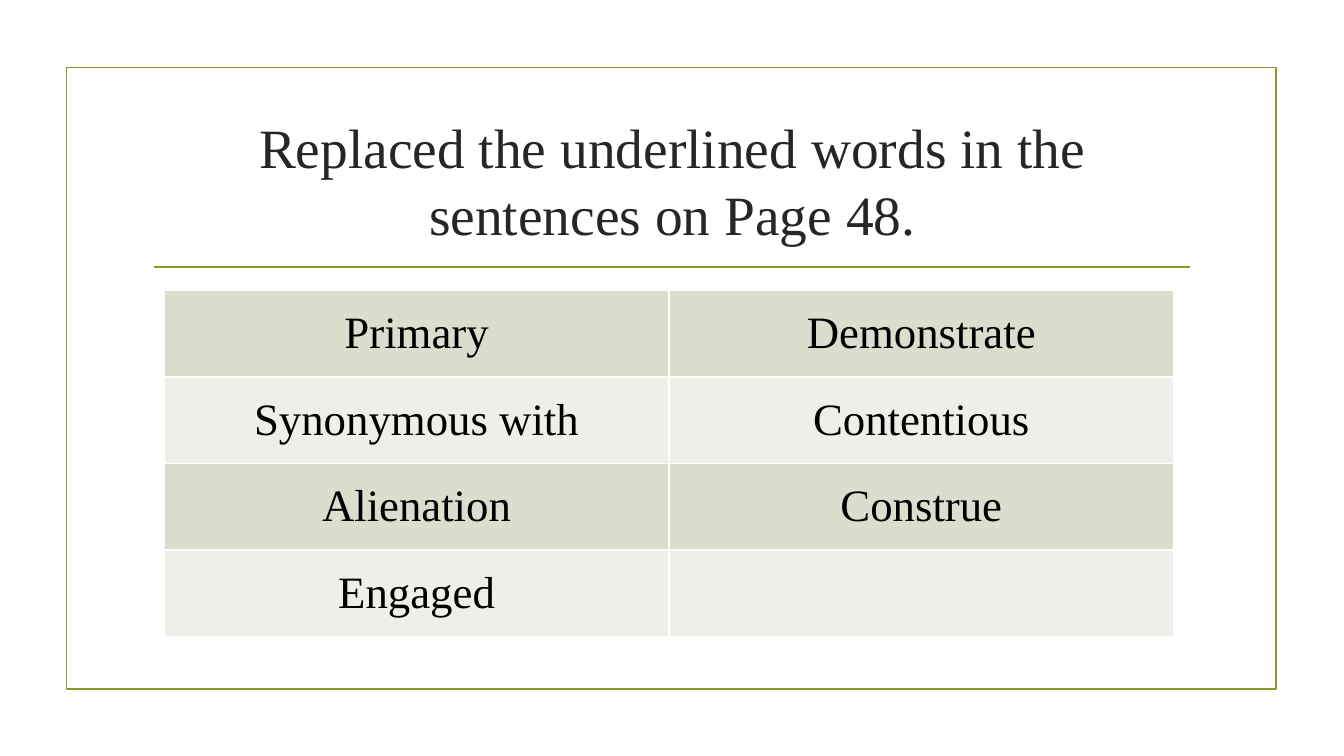
from pptx import Presentation
from pptx.dml.color import RGBColor
from pptx.enum.shapes import MSO_CONNECTOR as CONN, MSO_SHAPE as SHAPE
from pptx.enum.text import MSO_ANCHOR as ANCHOR, PP_ALIGN as ALIGN
from pptx.oxml import parse_xml
from pptx.oxml.ns import nsdecls
from pptx.util import Cm, Pt


def rgb(value):
    return RGBColor.from_string(value)


def write(p, text, size, color):
    p.alignment = ALIGN.CENTER
    r = p.add_run()
    r.text = text
    fmt = {"name": "Times New Roman", "size": Pt(size), "bold": False}
    for key, value in fmt.items():
        setattr(r.font, key, value)
    r.font.color.rgb = rgb(color)


GREEN = "83992A"
BANDS = ["D9DECD", "EDEFE8"]
WORDS = [
    ["Primary", "Demonstrate"],
    ["Synonymous with", "Contentious"],
    ["Alienation", "Construe"],
    ["Engaged", ""],
]

prs = Presentation()
prs.slide_width, prs.slide_height = Cm(33.87), Cm(19.05)
s = prs.slides.add_slide(prs.slide_layouts[5])

frame = s.shapes.add_shape(SHAPE.RECTANGLE, Cm(1.68), Cm(1.7), Cm(30.48), Cm(15.67))
frame.shadow.inherit = False
frame.fill.background()
rule = s.shapes.add_connector(CONN.STRAIGHT, Cm(3.89), Cm(6.73), Cm(30), Cm(6.73))
rule._element.spPr.append(parse_xml(f"<a:effectLst {nsdecls('a')}/>"))
for sp in (frame, rule):
    sp.line.color.rgb = rgb(GREEN)
    sp.line.width = Pt(1.25)

title = s.shapes.title
box = {"left": Cm(3.61), "top": Cm(2.72), "width": Cm(26.67), "height": Cm(3.63)}
for key, value in box.items():
    setattr(title, key, value)
tf = title.text_frame
tf.word_wrap = True
tf.vertical_anchor = ANCHOR.MIDDLE
write(tf.paragraphs[0], "Replaced the underlined words in the sentences on Page 48.", 39.6, "262626")

table = s.shapes.add_table(
    len(WORDS), 2, Cm(4.14), Cm(7.32), Cm(25.44), Cm(8.72)
).table
for i, row in enumerate(WORDS):
    for j, word in enumerate(row):
        cell = table.cell(i, j)
        cell.vertical_anchor = ANCHOR.MIDDLE
        tcPr = cell._tc.get_or_add_tcPr()
        for side in "LRTB":
            tcPr.append(parse_xml(
                f'<a:ln{side} {nsdecls("a")} w="{Pt(1)}"><a:solidFill>'
                f'<a:srgbClr val="FFFFFF"/></a:solidFill></a:ln{side}>'
            ))
        cell.fill.solid()
        cell.fill.fore_color.rgb = rgb(BANDS[i % 2])
        if word:
            write(cell.text_frame.paragraphs[0], word, 32, "000000")

prs.save("out.pptx")
